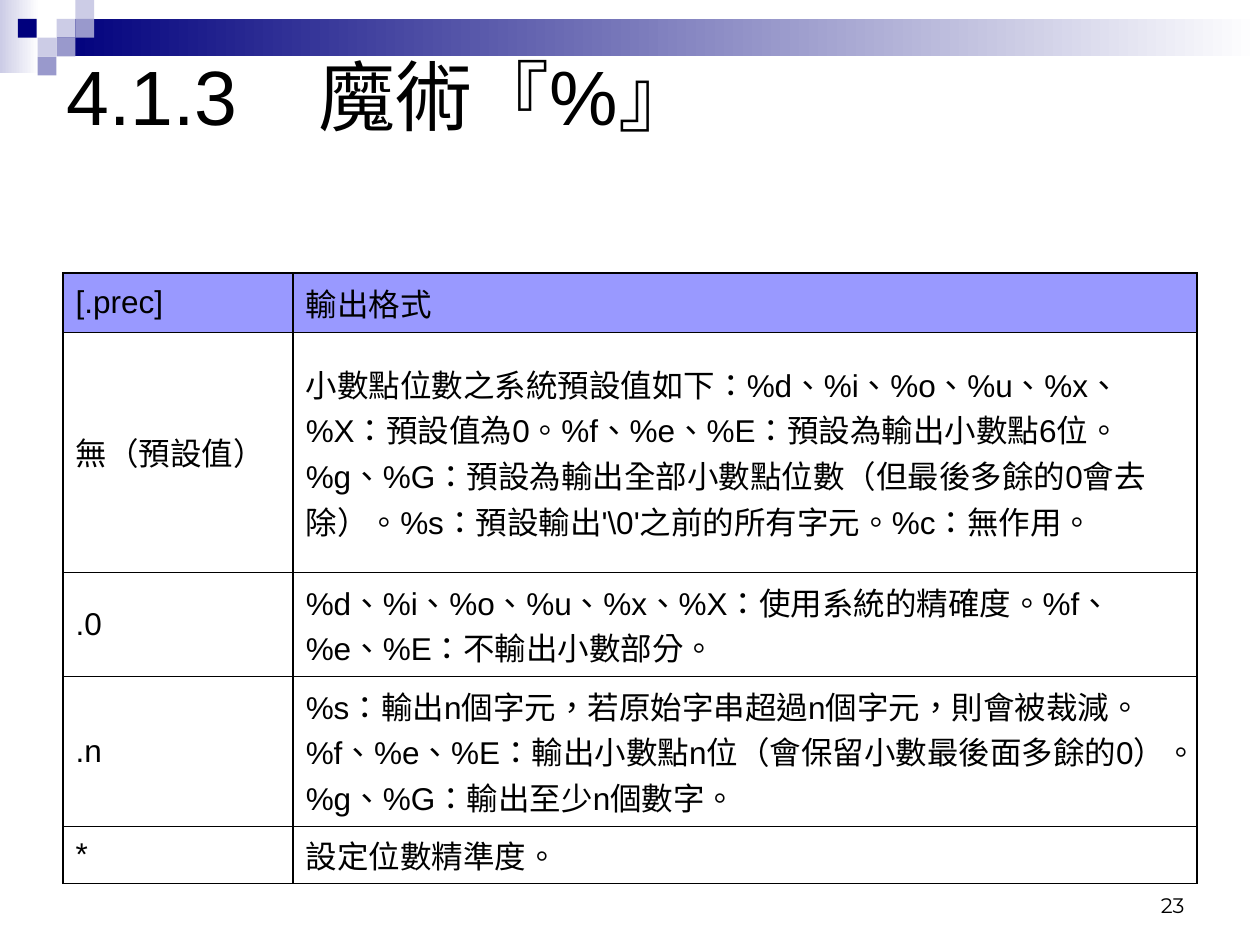
import pptx
import pptx.dml.color
import pptx.enum.lang
import pptx.enum.shapes
import pptx.enum.text
import pptx.oxml
import pptx.oxml.ns
import pptx.util

Cm, Pt = pptx.util.Cm, pptx.util.Pt
MID = pptx.enum.text.MSO_ANCHOR.MIDDLE
NS = pptx.oxml.ns.nsdecls("a")


def color(code):
    return pptx.dml.color.RGBColor.from_string(code)


def write(frame, text, size, face="Arial"):
    frame.word_wrap = True
    para = frame.paragraphs[0]
    run = para.add_run()
    run.text = text
    form = {"size": Pt(size), "name": face,
            "language_id": pptx.enum.lang.MSO_LANGUAGE_ID.TRADITIONAL_CHINESE}
    for key, value in form.items():
        setattr(run.font, key, value)
    run.font.color.rgb = color("000000")
    return para


deck = pptx.Presentation()
deck.slide_width, deck.slide_height = Cm(25.4), Cm(19.05)
slide = deck.slides.add_slide(deck.slide_layouts[6])

# Header bands and squares: left, top, width, height, fill colours
side = 0.38
parts = [
    (0, 0, 0.79, 1.47, ["FFFFFF", "CCCCE6"]),
    (1.14, 0.38, 24.26, 0.76, ["FFFFFF", "00007D"]),
]
for left, top, tint in [
    (1.14, 0.38, "CCCCE6"), (1.52, 0, "CCCCE6"), (1.52, 0.38, "9999CC"),
    (0.76, 0.76, "CCCCE6"), (0.36, 0.38, "00007D"),
    (1.14, 0.76, "9999CC"), (0.76, 1.14, "9999CC"),
]:
    parts.append((left, top, side, side, [tint]))

for *place, tints in parts:
    box = slide.shapes.add_shape(
        pptx.enum.shapes.MSO_SHAPE.RECTANGLE, *[Cm(n) for n in place])
    box.shadow.inherit = False
    box.line.fill.background()
    if len(tints) == 1:
        box.fill.solid()
        box.fill.fore_color.rgb = color(tints[0])
    else:
        box.fill.gradient()
        box.fill.gradient_angle = 180
        for stop, tint in zip(box.fill.gradient_stops, tints):
            stop.color.rgb = color(tint)

# Title, with a tab stop every inch
title = slide.shapes.add_textbox(Cm(1.09), Cm(0), Cm(22.86), Cm(3.81))
title.text_frame.vertical_anchor = MID
para = write(title.text_frame, "4.1.3\t魔術『%』", 44)
tabs = "".join(f'<a:tab pos="{Cm(2.54 * n)}" algn="l"/>' for n in range(8))
para._p.get_or_add_pPr().append(
    pptx.oxml.parse_xml(f"<a:tabLst {NS}>{tabs}</a:tabLst>"))

# Precision table
rows = [
    ("[.prec]", "輸出格式"),
    ("無（預設值）",
     "小數點位數之系統預設值如下：%d、%i、%o、%u、%x、%X：預設值為0。"
     "%f、%e、%E：預設為輸出小數點6位。"
     "%g、%G：預設為輸出全部小數點位數（但最後多餘的0會去除）。"
     "%s：預設輸出'\\0'之前的所有字元。%c：無作用。"),
    (".0", "%d、%i、%o、%u、%x、%X：使用系統的精確度。%f、%e、%E：不輸出小數部分。"),
    (".n",
     "%s：輸出n個字元，若原始字串超過n個字元，則會被裁減。"
     "%f、%e、%E：輸出小數點n位（會保留小數最後面多餘的0）。"
     "%g、%G：輸出至少n個數字。"),
    ("*", "設定位數精準度。"),
]
high = [1.18, 4.84, 2.1, 3.02, 1.16]
wide = [4.64, 18.22]
table = slide.shapes.add_table(
    len(rows), 2, Cm(1.27), Cm(5.51), Cm(sum(wide)), Cm(sum(high))).table
table.first_row = table.horz_banding = False
for col, width in zip(table.columns, wide):
    col.width = Cm(width)

thick, thin = 1.08, 0.45
last = len(rows) - 1
for r, texts in enumerate(rows):
    table.rows[r].height = Cm(high[r])
    edges = {"L": thick, "R": thick,
             "T": thick if r == 0 else thin,
             "B": thick if r == last else thin}
    for c, text in enumerate(texts):
        cell = table.cell(r, c)
        cell.vertical_anchor = MID
        write(cell.text_frame, text, 18)
        props = cell._tc.get_or_add_tcPr()
        for edge, width in edges.items():
            props.append(pptx.oxml.parse_xml(
                f'<a:ln{edge} {NS} w="{Pt(width)}"><a:solidFill>'
                f'<a:srgbClr val="000000"/></a:solidFill></a:ln{edge}>'))
        if r == 0:
            cell.fill.solid()
            cell.fill.fore_color.rgb = color("9999FF")
        else:
            cell.fill.background()

# Page number
page = slide.shapes.add_textbox(Cm(18.21), Cm(17.35), Cm(5.92), Cm(1.27))
page.text_frame.vertical_anchor = pptx.enum.text.MSO_ANCHOR.BOTTOM
para = write(page.text_frame, "23", 12, "Montserrat")
para.alignment = pptx.enum.text.PP_ALIGN.RIGHT

deck.save("out.pptx")
